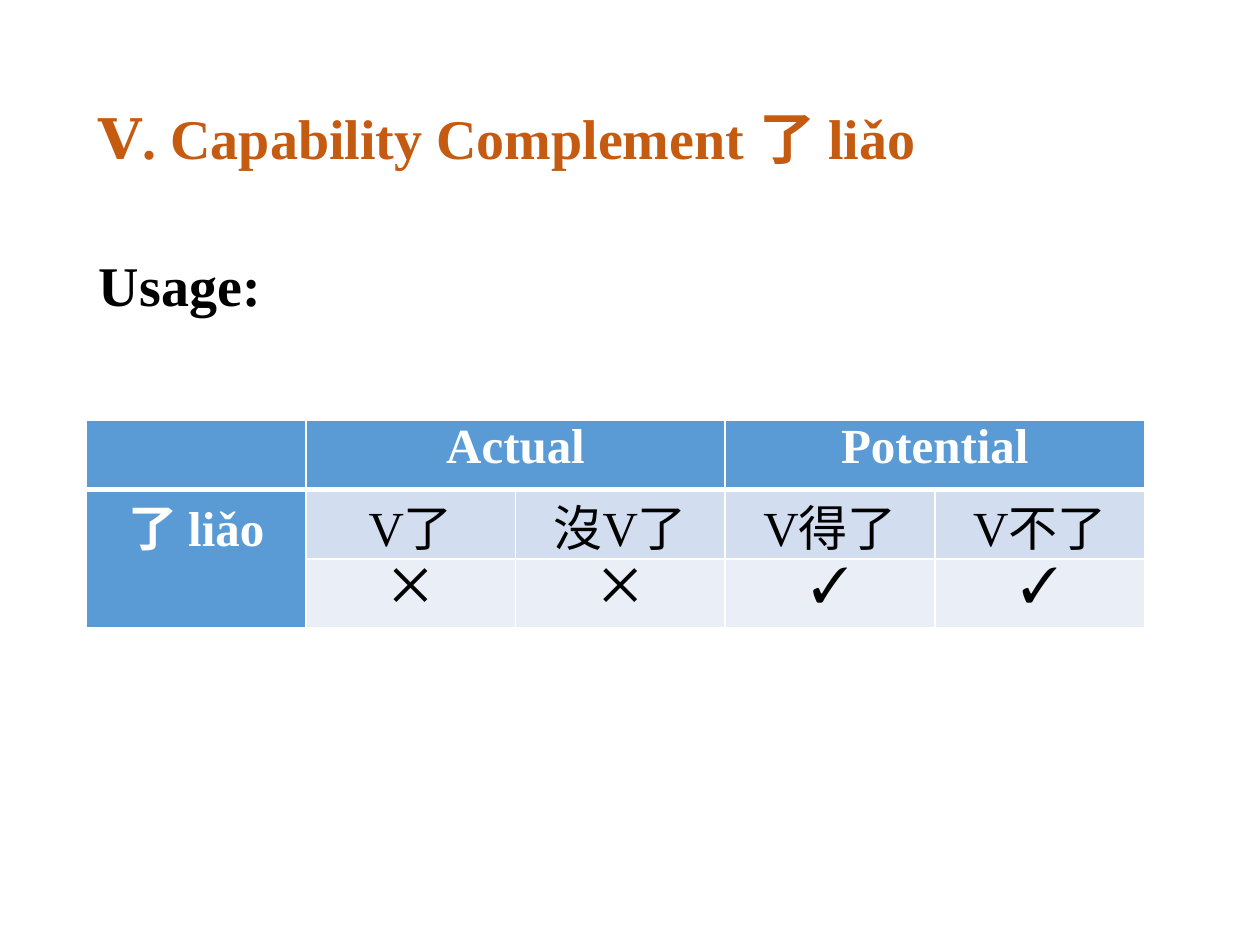
import dataclasses

import lxml.etree
import pptx
import pptx.dml.color
import pptx.enum.text
import pptx.oxml.ns
import pptx.util

Pt = pptx.util.Pt
Align = pptx.enum.text.PP_ALIGN
Anchor = pptx.enum.text.MSO_ANCHOR


@dataclasses.dataclass(frozen=True)
class Theme:
    """Colours, type sizes and font of the slide."""
    font: str = "Times New Roman"
    accent: str = "C55A11"
    ink: str = "000000"
    white: str = "FFFFFF"
    header: str = "5B9BD5"
    bands: tuple = ("D2DEEF", "EAEFF7")
    heading_size: int = 32
    table_size: int = 28


THEME = Theme()
HEADINGS = ("", "Actual", "", "Potential", "")
USAGE_ROWS = (
    ("了 liǎo", "V了", "沒V了", "V得了", "V不了"),
    ("", "✕", "✕", "✓", "✓"),
)


def rgb(value):
    """Return the colour for a hexadecimal string."""
    return pptx.dml.color.RGBColor.from_string(value)


def style_font(font, size, color, bold):
    """Apply the theme font with the given size, colour and weight."""
    font.name = THEME.font
    font.size = Pt(size)
    font.bold = bold
    font.color.rgb = rgb(color)


def add_heading(page, box, text, color, anchor):
    """Place one bold heading line in the box."""
    frame = page.shapes.add_textbox(*map(Pt, box)).text_frame
    frame.word_wrap = True
    frame.vertical_anchor = anchor
    frame.text = text
    para = frame.paragraphs[0]
    para.line_spacing = 0.9
    style_font(para.runs[0].font, THEME.heading_size, color, True)


def set_borders(cell, top, bottom):
    """Draw white cell borders, one point wide at the sides."""
    properties = cell._tc.get_or_add_tcPr()
    widths = {"a:lnL": 1, "a:lnR": 1, "a:lnT": top, "a:lnB": bottom}
    for position, (tag, width) in enumerate(widths.items()):
        line = lxml.etree.Element(pptx.oxml.ns.qn(tag), w=str(Pt(width)))
        fill = lxml.etree.SubElement(line, pptx.oxml.ns.qn("a:solidFill"))
        lxml.etree.SubElement(fill, pptx.oxml.ns.qn("a:srgbClr"), val=THEME.white)
        properties.insert(position, line)


def style_cell(cell, text, fill, color, bold):
    """Fill a cell and centre its text."""
    cell.fill.solid()
    cell.fill.fore_color.rgb = rgb(fill)
    cell.margin_left = cell.margin_right = Pt(5)
    cell.margin_top = cell.margin_bottom = 0
    cell.text_frame.text = text
    para = cell.text_frame.paragraphs[0]
    para.alignment = Align.CENTER
    style_font(para.font, THEME.table_size, color, bold)
    for span in para.runs:
        style_font(span.font, THEME.table_size, color, bold)


def add_usage_table(page, box, label_width):
    """Place the usage table with equal columns beside the label column."""
    rows = (HEADINGS, *USAGE_ROWS)
    table = page.shapes.add_table(len(rows), len(HEADINGS), *map(Pt, box)).table
    value_width = (box[2] - label_width) / (len(HEADINGS) - 1)
    for index, column in enumerate(table.columns):
        column.width = Pt(value_width if index else label_width)
    for row_index, texts in enumerate(rows):
        table.rows[row_index].height = Pt(box[3] / len(rows))
        for column_index, text in enumerate(texts):
            cell = table.cell(row_index, column_index)
            is_header = row_index == 0 or column_index == 0
            fill = THEME.header if is_header else THEME.bands[row_index - 1]
            color = THEME.white if is_header else THEME.ink
            style_cell(cell, text, fill, color, is_header)
            set_borders(cell, 3 if row_index == 1 else 1, 3 if row_index == 0 else 1)
    for start, end in (((0, 1), (0, 2)), ((0, 3), (0, 4)), ((1, 0), (2, 0))):
        table.cell(*start).merge(table.cell(*end))


def main():
    """Build the slide and save the deck."""
    deck = pptx.Presentation()
    deck.slide_width, deck.slide_height = Pt(720), Pt(540)
    page = deck.slides.add_slide(deck.slide_layouts[6])
    add_heading(page, (49.5, 28.75, 621, 104.4), "Ⅴ. Capability Complement 了 liǎo",
                THEME.accent, Anchor.MIDDLE)
    add_heading(page, (49.5, 143.75, 621, 342.6), "Usage:", THEME.ink, Anchor.TOP)
    add_usage_table(page, (49.5, 240, 604.5, 119), 125.3)
    deck.save("out.pptx")


if __name__ == "__main__":
    main()
